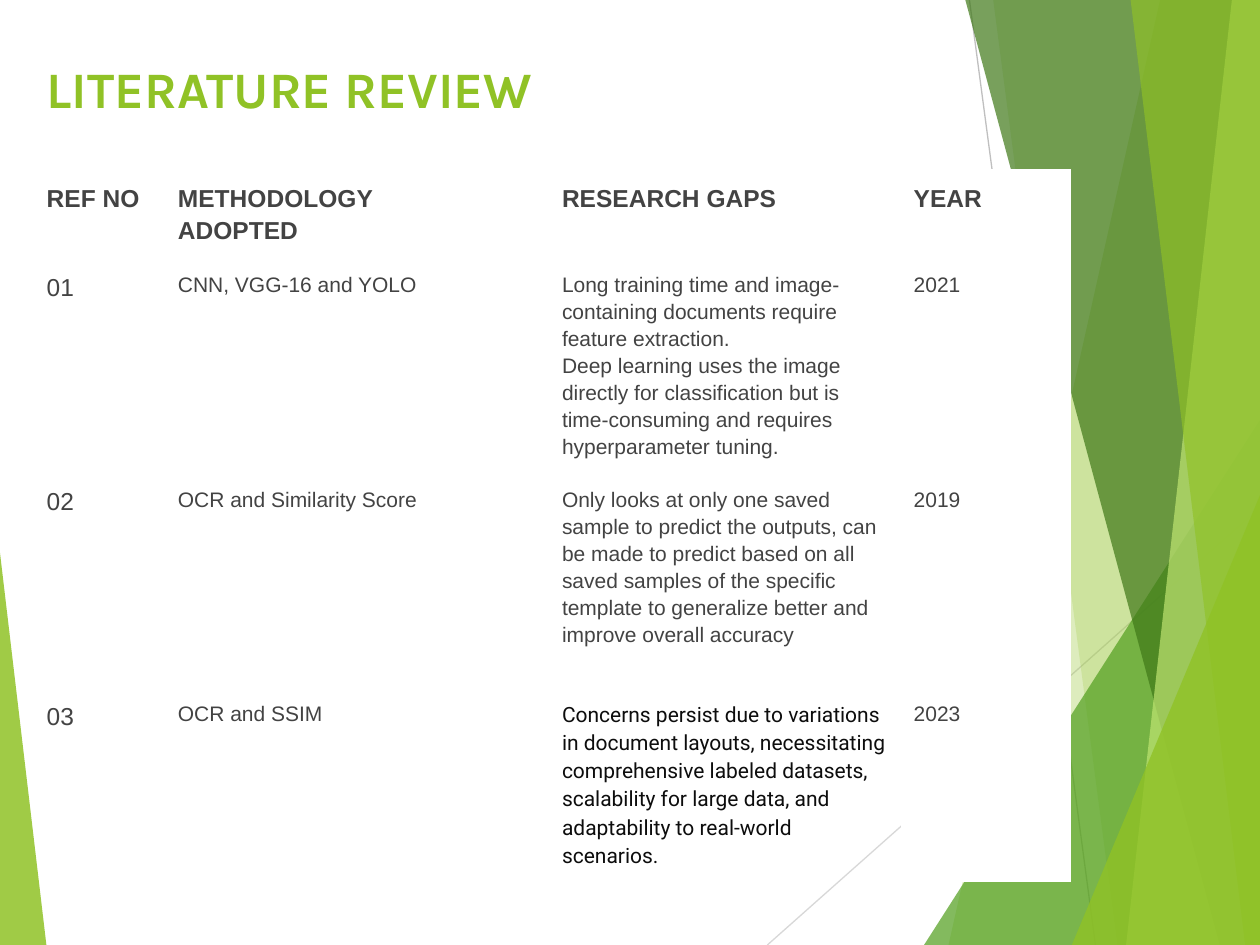
from lxml import etree
from pptx import Presentation
from pptx.dml.color import RGBColor
from pptx.enum.shapes import MSO_CONNECTOR, MSO_SHAPE
from pptx.enum.text import MSO_ANCHOR
from pptx.oxml.ns import qn
from pptx.util import Pt

STRAIGHT = MSO_CONNECTOR.STRAIGHT
TRIANGLE = MSO_SHAPE.ISOSCELES_TRIANGLE
TOP = MSO_ANCHOR.TOP
WIDTH, HEIGHT = 720, 540
PLAIN_TABLE = "{2D5ABB26-0587-4C30-8999-92F81FD0307C}"
GREEN, GRAY, BLACK, WHITE = "90C226", "434343", "0D0D0D", "FFFFFF"

LINES = [((554, 0), (626, 540), "BFBFBF"), ((720, 290), (438.5, 540), "D8D8D8")]
BACK_BANDS = [(663, 542, GREEN, 30), (567.5, 638.5, GREEN, 20)]
FRONT_BANDS = [
    (551.5, 697, "3F7818", 70),
    (704, 643.5, "BFE471", 70),
    (646, 711.5, GREEN, 65),
]
COLUMN_WIDTHS = [75, 219.5, 201, 97]
ROW_HEIGHTS = [49.5, 122.5, 122.5, 112]
HEADERS = [["REF NO"], ["METHODOLOGY", "ADOPTED"], ["RESEARCH GAPS"], ["YEAR"]]
STUDIES = [
    [["01"], ["CNN, VGG-16 and YOLO"], [
        "Long training time and image-containing documents require feature extraction.",
        "Deep learning uses the image directly for classification but is "
        "time-consuming and requires hyperparameter tuning."], ["2021"]],
    [["02"], ["OCR and Similarity Score"], [
        "Only looks at only one saved sample to predict the outputs, can",
        "be made to predict based on all saved samples of the speciﬁc",
        "template to generalize better and improve overall accuracy"], ["2019"]],
    [["03"], ["OCR and SSIM"], [
        "Concerns persist due to variations in document layouts, necessitating "
        "comprehensive labeled datasets, scalability for large data, and "
        "adaptability to real-world scenarios."], ["2023"]],
]


def color(value):
    return RGBColor.from_string(value)


class SlideBuilder:
    """Holds the style and the current slide, and draws each kind of element."""

    def __init__(self, slide, font="Arial"):
        self.slide = slide
        self.shapes = slide.shapes
        self.font = font

    def paint(self, shape, fill, opacity):
        shape.shadow.inherit = False
        shape.fill.solid()
        shape.fill.fore_color.rgb = color(fill)
        shape.line.fill.background()
        color_element = shape._element.spPr.find(qn("a:solidFill"))[0]
        etree.SubElement(color_element, qn("a:alpha"), val=str(opacity * 1000))

    def line(self, start, end, stroke):
        connector = self.shapes.add_connector(
            STRAIGHT, *[Pt(value) for value in (*start, *end)])
        connector.line.color.rgb = color(stroke)
        connector.line.width = Pt(0.75)
        etree.SubElement(connector._element.spPr, qn("a:effectLst"))

    def band(self, top_left, bottom_left, fill, opacity):
        builder = self.shapes.build_freeform(Pt(top_left), Pt(-0.5))
        corners = [(WIDTH, -0.5), (WIDTH, HEIGHT), (bottom_left, HEIGHT)]
        builder.add_line_segments([(Pt(x), Pt(y)) for x, y in corners])
        self.paint(builder.convert_to_shape(), fill, opacity)

    def triangle(self, left, top, width, apex, fill, opacity):
        shape = self.shapes.add_shape(
            TRIANGLE, Pt(left), Pt(top), Pt(width), Pt(HEIGHT - top))
        shape.adjustments[0] = apex
        self.paint(shape, fill, opacity)

    def add_runs(self, frame, texts, size, ink, bold=False, font=None, spacing=None):
        frame.word_wrap = True
        for index, text in enumerate(texts):
            paragraph = frame.add_paragraph() if index else frame.paragraphs[0]
            paragraph.line_spacing = spacing
            run = paragraph.add_run()
            run.text = text
            run.font.size = Pt(size)
            run.font.bold = bold
            run.font.name = font or self.font
            run.font.color.rgb = color(ink)

    def text(self, left, top, width, height, text, size, ink, font):
        box = self.shapes.add_textbox(Pt(left), Pt(top), Pt(width), Pt(height))
        box.text_frame.vertical_anchor = TOP
        self.add_runs(box.text_frame, [text], size, ink, True, font)

    def table(self, left, top, rows):
        frame = self.shapes.add_table(
            len(rows), len(COLUMN_WIDTHS), Pt(left), Pt(top),
            Pt(sum(COLUMN_WIDTHS)), Pt(sum(ROW_HEIGHTS)))
        table = frame.table
        table.first_row = table.horz_banding = False
        table._tbl.tblPr.find(qn("a:tableStyleId")).text = PLAIN_TABLE
        for column, width in zip(table.columns, COLUMN_WIDTHS):
            column.width = Pt(width)
        for row, height in zip(table.rows, ROW_HEIGHTS):
            row.height = Pt(height)
        for row_index, row in enumerate(rows):
            for column_index, texts in enumerate(row):
                self.cell(table, row_index, column_index, texts)

    def cell(self, table, row, column, texts):
        cell = table.cell(row, column)
        cell.margin_left = cell.margin_right = Pt(7.2)
        cell.margin_top = cell.margin_bottom = Pt(7.2)
        if column == 3:
            cell.fill.solid()
            cell.fill.fore_color.rgb = color(WHITE)
        else:
            cell.fill.background()
        size = 14 if row == 0 or column == 0 else 12
        ink, font = (BLACK, "Roboto") if (row, column) == (3, 2) else (GRAY, None)
        self.add_runs(cell.text_frame, texts, size, ink, row == 0, font, 1.15)


def main():
    presentation = Presentation()
    presentation.slide_width, presentation.slide_height = Pt(WIDTH), Pt(HEIGHT)
    builder = SlideBuilder(presentation.slides.add_slide(presentation.slide_layouts[6]))
    for line in LINES:
        builder.line(*line)
    for band in BACK_BANDS:
        builder.band(*band)
    builder.triangle(528, 240, 192, 1, "54A021", 72)
    for band in FRONT_BANDS:
        builder.band(*band)
    builder.triangle(612.5, 283, 107.5, 1, GREEN, 80)
    builder.triangle(0, 316, 26.5, 0, GREEN, 85)
    builder.table(19.5, 96.5, [HEADERS] + STUDIES)
    builder.text(19.5, 29.5, 366, 31.5, "LITERATURE REVIEW", 29.2, GREEN, "Karla")
    presentation.save("out.pptx")


if __name__ == "__main__":
    main()
